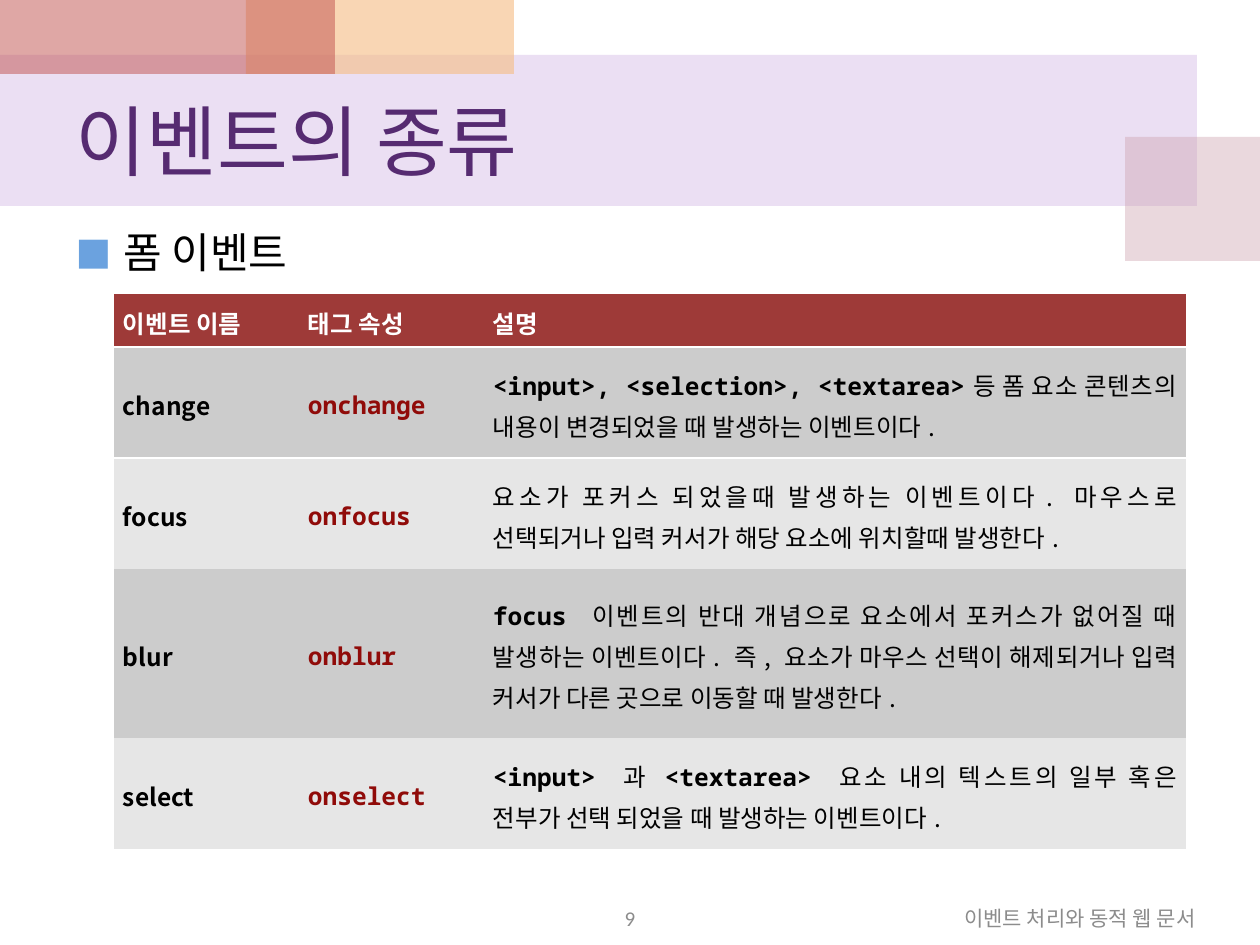
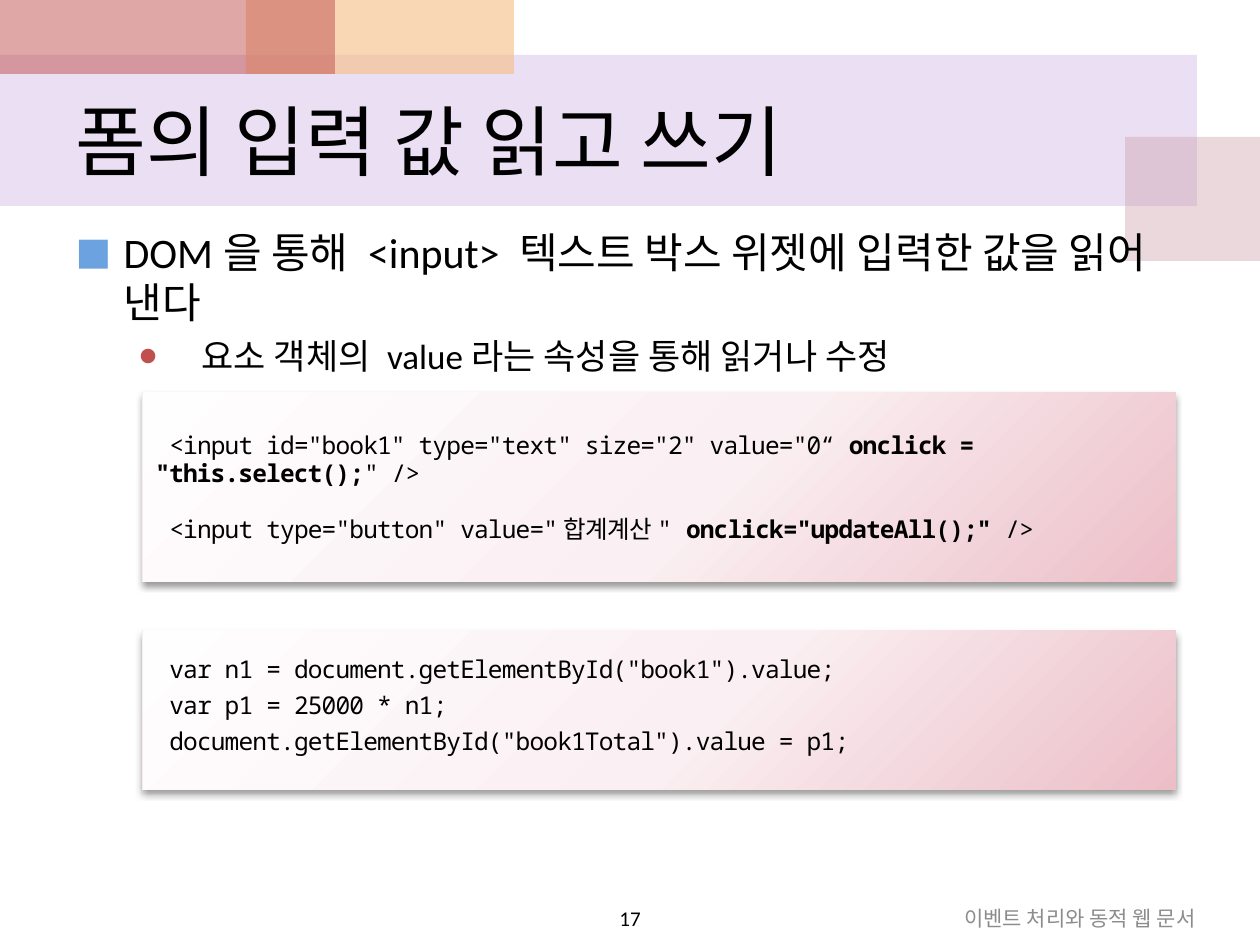
"""Build two lecture slides on form events and form values."""
from pptx import Presentation
from pptx.dml.color import RGBColor
from pptx.enum.shapes import MSO_SHAPE
from pptx.enum.text import MSO_ANCHOR, MSO_AUTO_SIZE, PP_ALIGN
from pptx.oxml import parse_xml
from pptx.oxml.ns import nsdecls, qn
from pptx.util import Emu, Pt

RECTANGLE = MSO_SHAPE.RECTANGLE
MIDDLE, TOP = MSO_ANCHOR.MIDDLE, MSO_ANCHOR.TOP
LEFT, CENTER, RIGHT = PP_ALIGN.LEFT, PP_ALIGN.CENTER, PP_ALIGN.RIGHT
JUSTIFY = PP_ALIGN.JUSTIFY
NO_FIT = MSO_AUTO_SIZE.NONE

PX_PER_INCH = 126
SANS, KOREAN, MONO = "Calibri", "Noto Sans CJK KR", "Noto Sans Mono"
PLAIN_TABLE = "{2D5ABB26-0587-4C30-8999-92F81FD0307C}"
COLORS = {
    "black": "000000", "white": "FFFFFF", "grey": "8C8C8C", "purple": "562B71",
    "lilac": "BF98D8", "rose": "CC9EAC", "orange": "F5BC83", "red": "C0504D",
    "blue": "6BA2DF", "header": "9E3A38", "attribute": "900B09",
    "dark_row": "CCCCCC", "light_row": "E6E6E6",
    "code_start": "FFFEFE", "code_middle": "FAEFF2", "code_end": "ECBEC8",
}
BANDS = [
    ((0, 55, 1197, 151), "lilac", 30),
    ((1125, 137, 135, 124), "rose", 40),
    ((246, 0, 268, 74), "orange", 60),
    ((0, 0, 335, 74), "red", 50),
]
BULLETS = [
    {"char": "■", "color": "blue", "size": 24, "margin": 48, "hang": -48},
    {"char": "●", "color": "red", "size": 20, "margin": 126, "hang": -63},
]
FOOTER = "이벤트 처리와 동적 웹 문서"
HEADERS = ["이벤트 이름", "태그 속성", "설명"]
EVENTS = [
    ("change", "|<input>, <selection>, <textarea>|등 폼 요소 콘텐츠의 내용이 "
               "변경되었을 때 발생하는 이벤트이다."),
    ("focus", "요소가 포커스 되었을때 발생하는 이벤트이다. 마우스로 선택되거나 "
              "입력 커서가 해당 요소에 위치할때 발생한다."),
    ("blur", "|focus |이벤트의 반대 개념으로 요소에서 포커스가 없어질 때 발생하는 "
             "이벤트이다. 즉, 요소가 마우스 선택이 해제되거나 입력 커서가 다른 "
             "곳으로 이동할 때 발생한다."),
    ("select", "|<input> |과 |<textarea> |요소 내의 텍스트의 일부 혹은 전부가 "
               "선택 되었을 때 발생하는 이벤트이다."),
]
COLUMN_WIDTHS = [185, 185, 702]
ROW_HEIGHTS = [53, 111, 111, 169, 111]
INPUT_CODE = [
    '<input id="book1" type="text" size="2" value="0“ '
    '|onclick = "this.select();|" />',
    '<input type="button" value="합계계산" |onclick="updateAll();"| />',
]
SCRIPT_CODE = [
    'var n1 = document.getElementById("book1").value;',
    "var p1 = 25000 * n1;",
    'document.getElementById("book1Total").value = p1;',
]


def px(length):
    """Turn px into EMU."""
    return Emu(round(length * 914400 / PX_PER_INCH))


def place(box, area):
    """Move and size a box."""
    box.left, box.top, box.width, box.height = map(px, area)


def rgb(name):
    """Look up a named colour."""
    return RGBColor.from_string(COLORS[name])


def write_text(para, text, size=14, color="black", font=SANS, strong_font=None,
               bold=False, align=LEFT, line=None, before=None, after=None,
               spacing=None):
    """Write text in a paragraph, with parts between bars in bold."""
    para.alignment = align
    if line is not None:
        para.line_spacing = line
    if before is not None:
        para.space_before = Pt(before)
    if after is not None:
        para.space_after = Pt(after)
    for index, part in enumerate(text.split("|")):
        if not part:
            continue
        strong = index % 2 == 1
        span = para.add_run()
        span.text = part
        span.font.size = Pt(size)
        span.font.bold = bold or strong
        span.font.color.rgb = rgb(color)
        span.font.name = strong_font if strong and strong_font else font
        properties = span.font._element
        properties.append(parse_xml(
            f'<a:ea {nsdecls("a")} typeface="{KOREAN}"/>'))
        if spacing is not None:
            properties.set("spc", str(round(spacing * 100)))


def indent(para, margin, first):
    """Set the left margin and first line indent."""
    properties = para._p.get_or_add_pPr()
    properties.set("marL", str(px(margin)))
    properties.set("indent", str(px(first)))
    return properties


def add_bullet(para, text, level):
    """Write a bulleted list paragraph."""
    style = BULLETS[level]
    para.level = level
    write_text(para, text, size=style["size"])
    properties = indent(para, style["margin"], style["hang"])
    for markup in (
        f'<a:buClr {nsdecls("a")}><a:srgbClr val="{COLORS[style["color"]]}"/></a:buClr>',
        f'<a:buSzPct {nsdecls("a")} val="90000"/>',
        f'<a:buFont {nsdecls("a")} typeface="{SANS}"/>',
        f'<a:buChar {nsdecls("a")} char="{style["char"]}"/>',
    ):
        properties.append(parse_xml(markup))


def add_bands(page, layout):
    """Put the translucent bands at the back of the layout."""
    for index, (area, color, opacity) in enumerate(BANDS):
        band = page.shapes.add_shape(RECTANGLE, *map(px, area))
        band.shadow.inherit = False
        band.fill.solid()
        band.fill.fore_color.rgb = rgb(color)
        band.line.fill.background()
        band.element.spPr.find(".//" + qn("a:srgbClr")).append(parse_xml(
            f'<a:alpha {nsdecls("a")} val="{opacity * 1000}"/>'))
        band.element.nvSpPr.cNvPr.set("id", str(100 + index))
        layout.shapes.element.insert(2 + index, band.element)


def add_label(page, area, text, **style):
    """Add a single-line text box."""
    box = page.shapes.add_textbox(*map(px, area))
    box.text_frame.word_wrap = True
    box.text_frame.vertical_anchor = MIDDLE
    write_text(box.text_frame.paragraphs[0], text, size=12, **style)


def fill_page(page, title, title_color, bullets, number, number_color):
    """Fill title, list, page number and footer."""
    heading, body = page.shapes.title, page.placeholders[1]
    for box, area, anchor in ((heading, (63, 74, 1134, 132), MIDDLE),
                              (body, (63, 220, 1134, 624), TOP)):
        place(box, area)
        box.text_frame.auto_size = NO_FIT
        box.text_frame.vertical_anchor = anchor
    write_text(heading.text_frame.paragraphs[0], title, size=44, color=title_color)
    for level, text in enumerate(bullets):
        frame = body.text_frame
        add_bullet(frame.add_paragraph() if level else frame.paragraphs[0],
                   text, level)
    add_label(page, (483, 901, 294, 34), number, color=number_color, align=CENTER)
    add_label(page, (809, 901, 399, 34), FOOTER, color="grey", align=RIGHT)


def fill_cell(cell, text, fill, **style):
    """Colour a table cell and write its text."""
    cell.fill.solid()
    cell.fill.fore_color.rgb = rgb(fill)
    cell.vertical_anchor = MIDDLE
    cell.margin_left = cell.margin_right = px(9)
    cell.margin_top = cell.margin_bottom = 0
    write_text(cell.text_frame.paragraphs[0], text, align=JUSTIFY, line=1.15, **style)


def add_border(cell, side):
    """Draw a white border on one side of a cell."""
    cell._tc.get_or_add_tcPr().insert(0, parse_xml(
        f'<a:{side} {nsdecls("a")} w="{Pt(1.5)}"><a:solidFill>'
        f'<a:srgbClr val="{COLORS["white"]}"/></a:solidFill></a:{side}>'))


def add_event_table(page):
    """Add the table of form events."""
    frame = page.shapes.add_table(
        len(ROW_HEIGHTS), len(COLUMN_WIDTHS), px(114), px(294),
        px(sum(COLUMN_WIDTHS)), px(sum(ROW_HEIGHTS)))
    frame.element.find(".//" + qn("a:tableStyleId")).text = PLAIN_TABLE
    table = frame.table
    table.horz_banding = False
    for column, width in zip(table.columns, COLUMN_WIDTHS):
        column.width = px(width)
    for row, height in zip(table.rows, ROW_HEIGHTS):
        row.height = px(height)
    for index, text in enumerate(HEADERS):
        fill_cell(table.cell(0, index), text, "header",
                  color="white", font=KOREAN, bold=True)
        add_border(table.cell(0, index), "lnB")
        add_border(table.cell(1, index), "lnT")
    for row, (event, description) in enumerate(EVENTS, 1):
        fill = "dark_row" if row % 2 else "light_row"
        fill_cell(table.cell(row, 0), event, fill, font=KOREAN, bold=True)
        fill_cell(table.cell(row, 1), "on" + event, fill,
                  color="attribute", font=MONO, bold=True)
        fill_cell(table.cell(row, 2), description, fill,
                  font=KOREAN, strong_font=MONO)


def add_code_box(page, area, lines, gap=0, **style):
    """Add a shaded box with lines of code."""
    box = page.shapes.add_shape(RECTANGLE, *map(px, area))
    box.line.fill.background()
    stops = "".join(
        f'<a:gs pos="{position * 1000}"><a:srgbClr val="{COLORS[name]}"/></a:gs>'
        for position, name in ((0, "code_start"), (55, "code_middle"), (100, "code_end")))
    box.element.spPr.insert(2, parse_xml(
        f'<a:gradFill {nsdecls("a")} rotWithShape="1"><a:gsLst>{stops}</a:gsLst>'
        '<a:path path="circle"><a:fillToRect l="-40000" t="-90000" r="140000" '
        'b="190000"/></a:path></a:gradFill>'))
    box.element.spPr.append(parse_xml(
        f'<a:effectLst {nsdecls("a")}><a:outerShdw blurRad="{Pt(4)}" '
        f'dist="{Pt(2)}" dir="5400000" rotWithShape="0">'
        f'<a:srgbClr val="{COLORS["black"]}"><a:alpha val="40000"/></a:srgbClr>'
        '</a:outerShdw></a:effectLst>'))
    frame = box.text_frame
    frame.word_wrap = True
    frame.vertical_anchor = MIDDLE
    for index, text in enumerate(lines):
        para = frame.add_paragraph() if index else frame.paragraphs[0]
        write_text(para, text, font=MONO, spacing=-0.5,
                   before=gap if index else 0, **style)
        indent(para, 0, 14)


def main():
    """Build and save the deck."""
    deck = Presentation()
    deck.slide_width, deck.slide_height = px(1260), px(945)
    layout = deck.slide_layouts[1]

    page = deck.slides.add_slide(layout)
    add_bands(page, layout)
    fill_page(page, "이벤트의 종류", "purple", ["폼 이벤트"], "9", "grey")
    add_event_table(page)

    page = deck.slides.add_slide(layout)
    fill_page(page, "폼의 입력 값 읽고 쓰기", "black",
              ["DOM을 통해 <input> 텍스트 박스 위젯에 입력한 값을 읽어 낸다",
               "요소 객체의 value라는 속성을 통해 읽거나 수정"], "17", "black")
    add_code_box(page, (143, 631, 1033, 159), SCRIPT_CODE, line=Pt(10.5), after=10)
    add_code_box(page, (143, 393, 1033, 189), INPUT_CODE, gap=16, line=Pt(16))
    deck.save("out.pptx")


if __name__ == "__main__":
    main()
